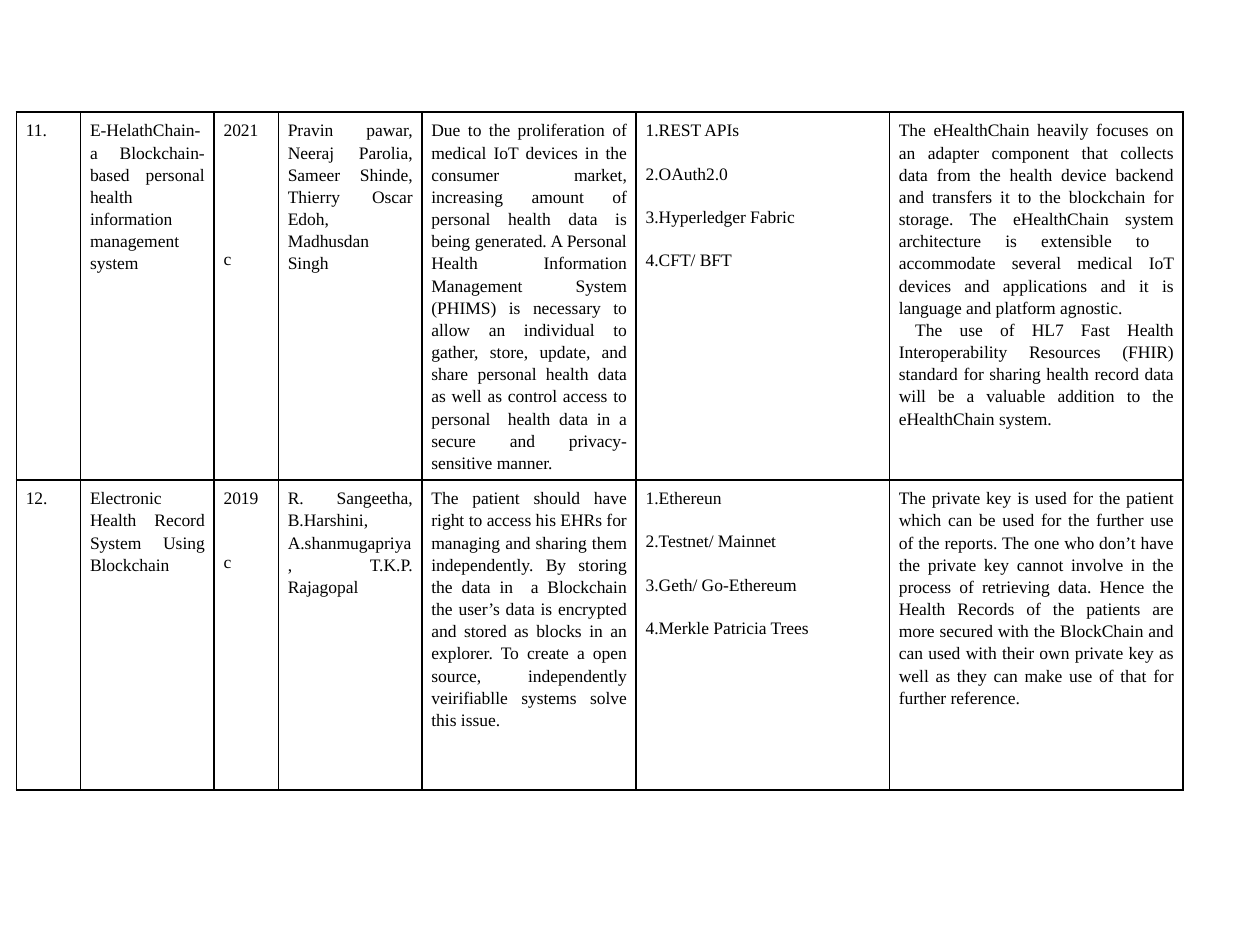
from lxml.etree import SubElement
from pptx import Presentation
from pptx.dml.color import RGBColor
from pptx.enum.text import PP_ALIGN
from pptx.oxml.ns import qn
from pptx.util import Inches, Pt

COLORS = {"ink": "000000"}
FONT = "Times New Roman"
COLUMN_WIDTHS = [0.51, 1.06, 0.51, 1.14, 1.7, 2.01, 2.33]
ROW_HEIGHTS = [2.92, 2.46]
SPACE_BEFORE = [
    [0, 0, 61, 0, 0, 12, 0],
    [0, 0, 24, 0, 0, 12, 0],
]
FIRST_LINE_INDENT = 0.13
PAPERS = [
    [
        ["11."],
        ["E-HelathChain- a Blockchain-based personal health information management system"],
        ["2021", "c"],
        ["Pravin pawar, Neeraj Parolia, Sameer Shinde, Thierry Oscar Edoh, Madhusdan Singh"],
        ["Due to the proliferation of medical IoT devices in the consumer market, "
         "increasing amount of personal health data is being generated. A Personal Health "
         "Information Management System (PHIMS) is necessary to allow an individual to "
         "gather, store, update, and share personal health data as well as control access "
         "to personal  health data in a secure and privacy-sensitive manner."],
        ["1.REST APIs", "2.OAuth2.0", "3.Hyperledger Fabric", "4.CFT/ BFT"],
        ["The eHealthChain heavily focuses on an adapter component that collects data from "
         "the health device backend and transfers it to the blockchain for storage. The "
         "eHealthChain system architecture is extensible to  accommodate several medical "
         "IoT devices and applications and it is language and platform agnostic.",
         "The use of HL7 Fast Health Interoperability Resources (FHIR) standard for sharing "
         "health record data will be a valuable addition to the eHealthChain system."],
    ],
    [
        ["12."],
        ["Electronic Health Record System Using Blockchain"],
        ["2019", "c"],
        ["R. Sangeetha, B.Harshini, A.shanmugapriya, T.K.P. Rajagopal"],
        ["The patient should have right to access his EHRs for managing and sharing them "
         "independently. By storing the data in  a Blockchain the user’s data is encrypted "
         "and stored as blocks in an explorer. To create a open source, independently "
         "veirifiablle systems solve this issue."],
        ["1.Ethereun", "2.Testnet/ Mainnet", "3.Geth/ Go-Ethereum", "4.Merkle Patricia Trees"],
        ["The private key is used for the patient which can be used for the further use of "
         "the reports. The one who don’t have the private key cannot involve in the process "
         "of retrieving data. Hence the Health Records of the patients are more secured with "
         "the BlockChain and can used with their own private key as well as they can make "
         "use of that for further reference."],
    ],
]


def add_borders(cell):
    properties = cell._tc.get_or_add_tcPr()
    for side in ("lnL", "lnR", "lnT", "lnB"):
        line = SubElement(properties, qn(f"a:{side}"), w=str(Pt(0.96)))
        fill = SubElement(line, qn("a:solidFill"))
        SubElement(fill, qn("a:srgbClr"), val=COLORS["ink"])


def write_cell(cell, texts, space_before):
    cell.margin_left = cell.margin_right = Pt(5.4)
    cell.margin_top = cell.margin_bottom = Inches(0.05)
    add_borders(cell)
    cell.fill.background()
    for index, text in enumerate(texts):
        paragraph = cell.text_frame.paragraphs[0] if index == 0 else cell.text_frame.add_paragraph()
        paragraph.text = text
        paragraph.alignment = PP_ALIGN.JUSTIFY
        paragraph.line_spacing = 1.15
        if index:
            paragraph.space_before = Pt(space_before)
            if not space_before:
                paragraph._p.get_or_add_pPr().set("indent", str(Inches(FIRST_LINE_INDENT)))
        paragraph.font.name = FONT
        paragraph.font.size = Pt(10)
        paragraph.font.color.rgb = RGBColor.from_string(COLORS["ink"])


def main():
    presentation = Presentation()
    presentation.slide_width = Inches(10)
    presentation.slide_height = Inches(7.5)
    slide = presentation.slides.add_slide(presentation.slide_layouts[6])
    table = slide.shapes.add_table(
        len(ROW_HEIGHTS), len(COLUMN_WIDTHS), Inches(0.13), Inches(0.89),
        Inches(sum(COLUMN_WIDTHS)), Inches(sum(ROW_HEIGHTS))).table
    table.first_row = False
    table.horz_banding = False
    for column, width in zip(table.columns, COLUMN_WIDTHS):
        column.width = Inches(width)
    for row, height, paper, spaces in zip(table.rows, ROW_HEIGHTS, PAPERS, SPACE_BEFORE):
        row.height = Inches(height)
        for cell, texts, space in zip(row.cells, paper, spaces):
            write_cell(cell, texts, space)
    presentation.save("out.pptx")


if __name__ == "__main__":
    main()
